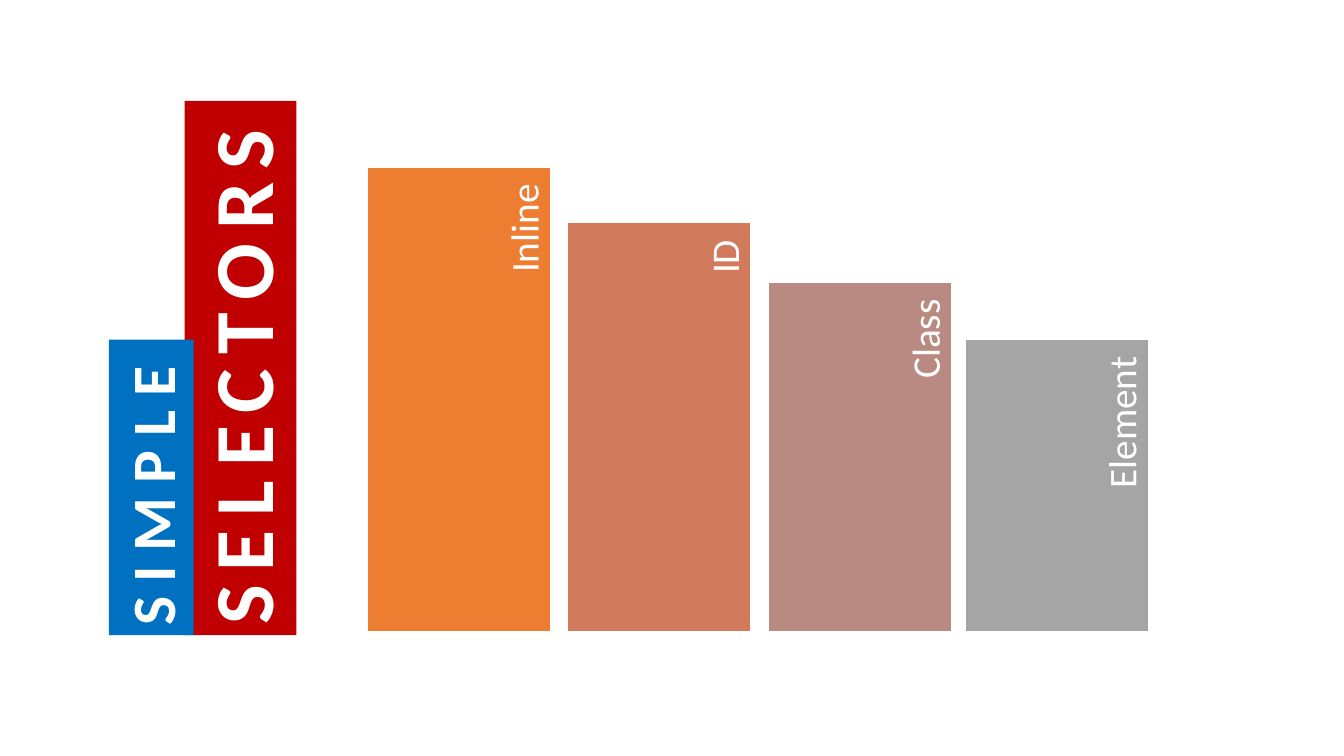
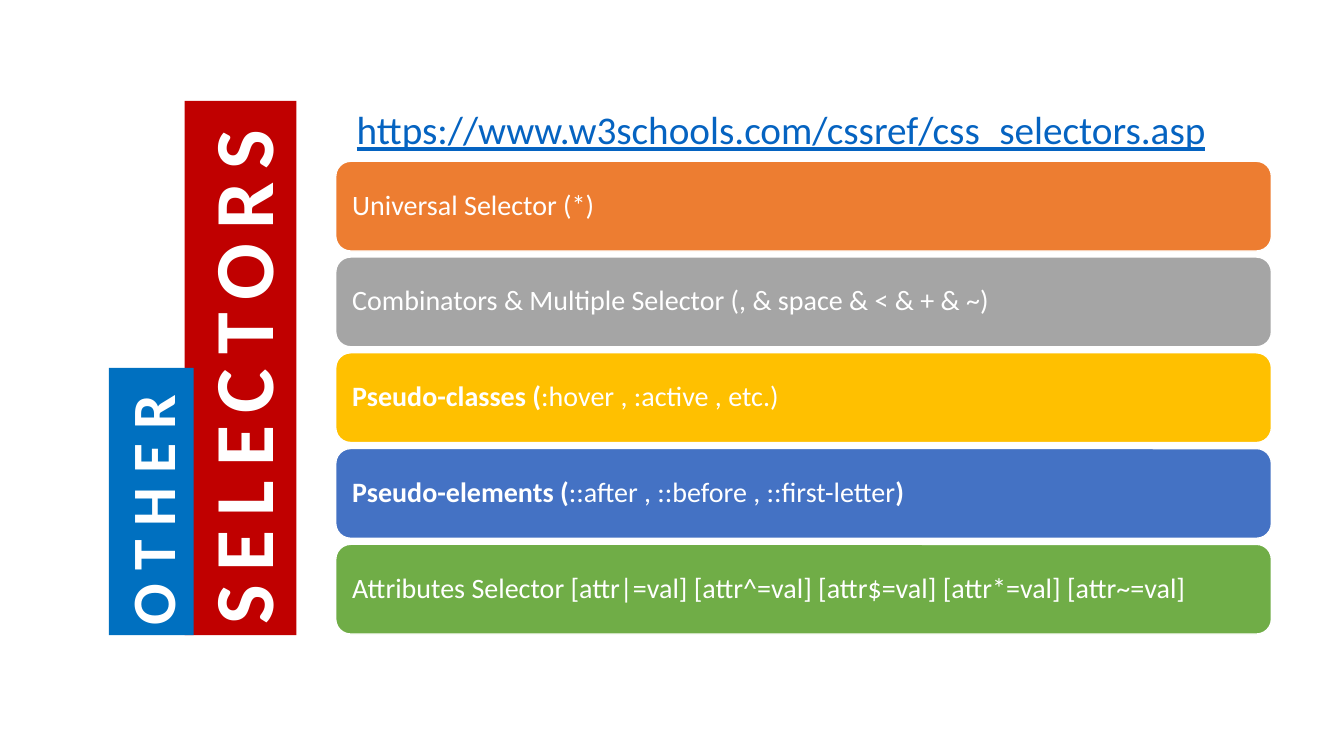
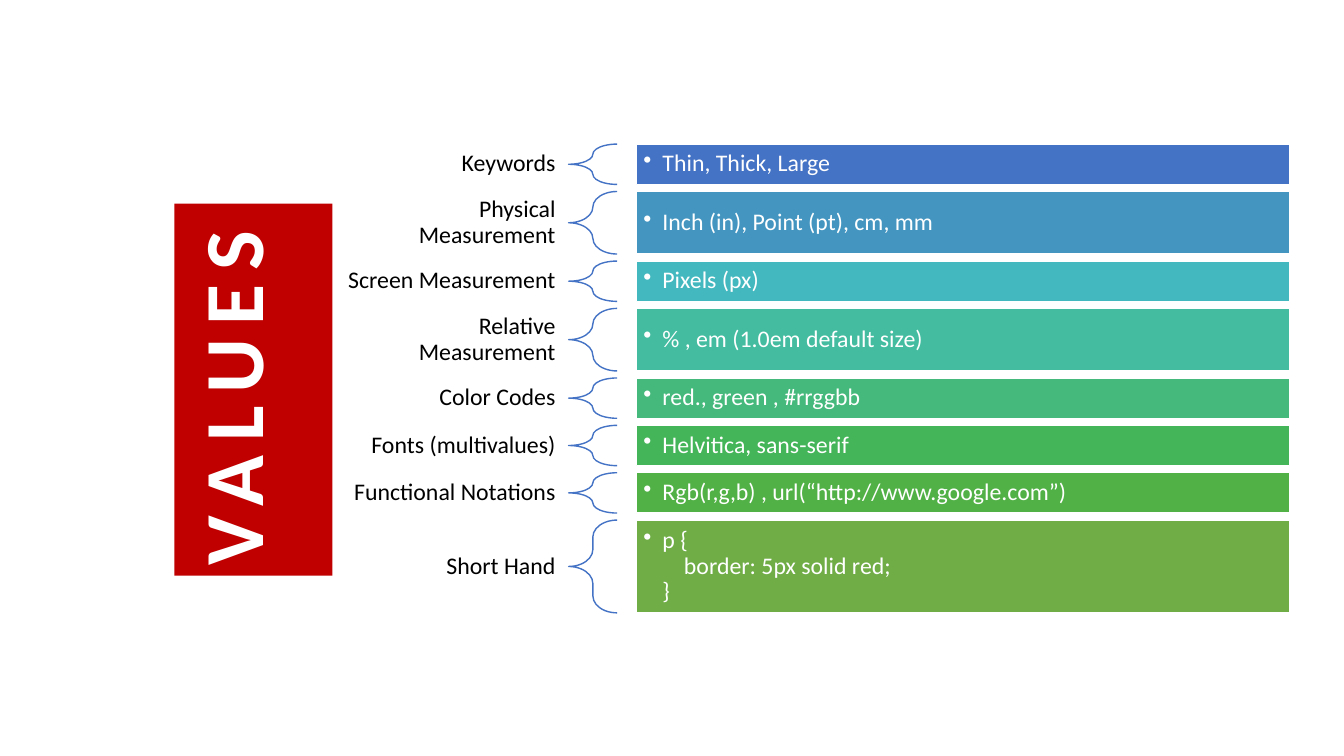
from lxml.etree import SubElement
from pptx import Presentation
from pptx.dml.color import RGBColor
from pptx.enum.shapes import MSO_SHAPE
from pptx.enum.text import MSO_ANCHOR, MSO_AUTO_SIZE, PP_ALIGN
from pptx.oxml.ns import qn
from pptx.util import Inches, Pt

FONT = "Calibri"
COLORS = {
    "white": "FFFFFF", "black": "000000", "title": "C00000", "tag": "0070C0",
    "link": "0563C1", "orange": "ED7D31", "copper": "D17B5C", "rose": "B98A82",
    "gray": "A5A5A5", "gold": "FFC000", "blue": "4472C4", "sky": "4496C1",
    "cyan": "43B8BF", "teal": "43BCA0", "mint": "44B97B", "emerald": "45B559",
    "leaf": "52B146", "green": "70AD47",
}
BANNER_BOTTOM = 6.3


def color(name):
    return RGBColor.from_string(COLORS[name])


class Deck:
    def __init__(self):
        self.presentation = Presentation()
        self.presentation.slide_width = Inches(13.33)
        self.presentation.slide_height = Inches(7.5)
        self.slide = None

    def new_slide(self, title, height, left=1.83, bottom=BANNER_BOTTOM):
        layout = self.presentation.slide_layouts[5]
        self.slide = self.presentation.slides.add_slide(layout)
        self.banner(self.slide.shapes.title, title, 60, "title", left, bottom, 1.11, height)

    def tag(self, text, height):
        shape = self.slide.shapes.add_shape(MSO_SHAPE.RECTANGLE, 0, 0, 0, 0)
        shape.shadow.inherit = False
        shape.line.fill.background()
        self.banner(shape, text, 44, "tag", 1.08, BANNER_BOTTOM, 0.84, height)

    def banner(self, shape, text, size, fill, left, bottom, width, height):
        """Fill a shape with bold, widely spaced text that reads upwards."""
        self.turn_upright(shape, left, bottom - height, width, height)
        shape.fill.solid()
        shape.fill.fore_color.rgb = color(fill)
        frame = shape.text_frame
        frame.word_wrap = False
        frame.auto_size = MSO_AUTO_SIZE.SHAPE_TO_FIT_TEXT
        frame.vertical_anchor = MSO_ANCHOR.TOP
        paragraph = frame.paragraphs[0]
        paragraph.alignment = PP_ALIGN.LEFT
        run = self.add_run(paragraph, text, size, "white", bold=True)
        run.font._element.set("spc", "1000")

    def turn_upright(self, shape, left, top, width, height):
        """Rotate a shape by 270 degrees so that it covers the given area."""
        shape.left = Inches(left + (width - height) / 2)
        shape.top = Inches(top + (height - width) / 2)
        shape.width, shape.height = Inches(height), Inches(width)
        shape.rotation = 270

    def add_run(self, paragraph, text, size, text_color, bold=False):
        run = paragraph.add_run()
        run.text = text
        run.font.name = FONT
        run.font.size = Pt(size)
        run.font.bold = bold
        run.font.color.rgb = color(text_color)
        return run

    def box(self, kind, left, top, width, height, fill=None, line="white"):
        shape = self.slide.shapes.add_shape(
            kind, Inches(left), Inches(top), Inches(width), Inches(height))
        shape.shadow.inherit = False
        if fill:
            shape.fill.solid()
            shape.fill.fore_color.rgb = color(fill)
        else:
            shape.fill.background()
        shape.line.color.rgb = color(line)
        shape.line.width = Pt(1)
        return shape

    def text_box(self, left, top, width, height):
        return self.slide.shapes.add_textbox(
            Inches(left), Inches(top), Inches(width), Inches(height))

    def middle_paragraph(self, shape, margins, alignment=PP_ALIGN.LEFT):
        """Centre the text vertically and return its tightly spaced first paragraph."""
        frame = shape.text_frame
        frame.word_wrap = True
        frame.vertical_anchor = MSO_ANCHOR.MIDDLE
        (frame.margin_left, frame.margin_top,
         frame.margin_right, frame.margin_bottom) = map(Inches, margins)
        paragraph = frame.paragraphs[0]
        paragraph.alignment = alignment
        paragraph.line_spacing = 0.9
        return paragraph

    def column(self, text, fill, left, top, width=1.82, bottom=6.27):
        height = bottom - top
        self.box(MSO_SHAPE.RECTANGLE, left, top, width, height, fill)
        label = self.text_box(0, 0, 1, 1)
        self.turn_upright(label, left + width - 0.46, top, 0.47, 0.9 * height)
        paragraph = self.middle_paragraph(label, (0.12, 0, 0.17, 0.04), PP_ALIGN.RIGHT)
        self.add_run(paragraph, text, 28, "white")

    def link_text(self, text):
        frame = self.text_box(3.44, 1, 8.73, 0.57).text_frame
        frame.word_wrap = False
        frame.auto_size = MSO_AUTO_SIZE.SHAPE_TO_FIT_TEXT
        self.add_run(frame.paragraphs[0], text, 28, "link").font.underline = True

    def bar(self, runs, fill, top):
        shape = self.box(MSO_SHAPE.ROUNDED_RECTANGLE, 3.33, top, 9.28, 0.89, fill)
        paragraph = self.middle_paragraph(shape, (0.12,) * 4)
        for text, bold in runs:
            self.add_run(paragraph, text, 20, "white", bold)

    def value_row(self, label, lines, fill, top, height):
        name = self.text_box(3.26, top, 2.38, height)
        paragraph = self.middle_paragraph(name, (0.13, 0.05, 0.13, 0.05), PP_ALIGN.RIGHT)
        self.add_run(paragraph, label, 17, "black")

        brace = self.box(MSO_SHAPE.LEFT_BRACE, 5.64, top, 0.48, height, line="blue")
        brace.adjustments[0] = 0.35
        brace.adjustments[1] = 0.5

        value = self.box(MSO_SHAPE.RECTANGLE, 6.31, top, 6.48, height, fill)
        paragraph = self.middle_paragraph(value, (0.07,) * 4)
        self.add_bullet(paragraph, 0.19)
        for index, line in enumerate(lines):
            if index:
                paragraph.add_line_break()
            self.add_run(paragraph, line, 17, "white")

    def add_bullet(self, paragraph, indent):
        properties = paragraph._p.get_or_add_pPr()
        properties.set("marL", str(Inches(indent)))
        properties.set("indent", str(-Inches(indent)))
        SubElement(properties, qn("a:buChar")).set("char", "•")


def simple_selectors(deck):
    deck.new_slide("SELECTORS", 5.3)
    for column in (
        ("Inline", "orange", 3.64, 1.66),
        ("ID", "copper", 5.63, 2.21),
        ("Class", "rose", 7.62, 2.8),
        ("Element", "gray", 9.57, 3.37),
    ):
        deck.column(*column)
    deck.tag("SIMPLE", 2.93)


def other_selectors(deck):
    deck.new_slide("SELECTORS", 5.3)
    deck.link_text("https://www.w3schools.com/cssref/css_selectors.asp")
    bars = (
        ("orange", [("Universal Selector (*)", False)]),
        ("gray", [("Combinators & Multiple Selector (, & space & < & + & ~)", False)]),
        ("gold", [("Pseudo-classes (", True), (":hover , :active , etc.)", False)]),
        ("blue", [("Pseudo-elements (", True),
                  ("::after , ::before , ::first-letter", False), (")", True)]),
        ("green", [("Attributes Selector [attr|=val] [attr^=val] [attr$=val] "
                    "[attr*=val] [attr~=val]", False)]),
    )
    for index, (fill, runs) in enumerate(bars):
        deck.bar(runs, fill, 1.6 + 0.95 * index)
    deck.tag("OTHER", 2.65)


def values(deck):
    deck.new_slide("VALUES", 3.69, left=1.73, bottom=5.71)
    rows = (
        ("Keywords", ["Thin, Thick, Large"], "blue", 0.4),
        ("Physical Measurement", ["Inch (in), Point (pt), cm, mm"], "sky", 0.62),
        ("Screen Measurement", ["Pixels (px)"], "cyan", 0.4),
        ("Relative Measurement", ["% , em (1.0em default size)"], "teal", 0.62),
        ("Color Codes", ["red., green , #rrggbb"], "mint", 0.4),
        ("Fonts (multivalues)", ["Helvitica, sans-serif"], "emerald", 0.4),
        ("Functional Notations", ["Rgb(r,g,b) , url(“http://www.google.com”)"], "leaf", 0.4),
        ("Short Hand", ["p {", "    border: 5px solid red;", "}"], "green", 0.92),
    )
    top = 1.43
    for label, lines, fill, height in rows:
        deck.value_row(label, lines, fill, top, height)
        top += height + 0.07


def main():
    deck = Deck()
    simple_selectors(deck)
    other_selectors(deck)
    values(deck)
    deck.presentation.save("out.pptx")


if __name__ == "__main__":
    main()
